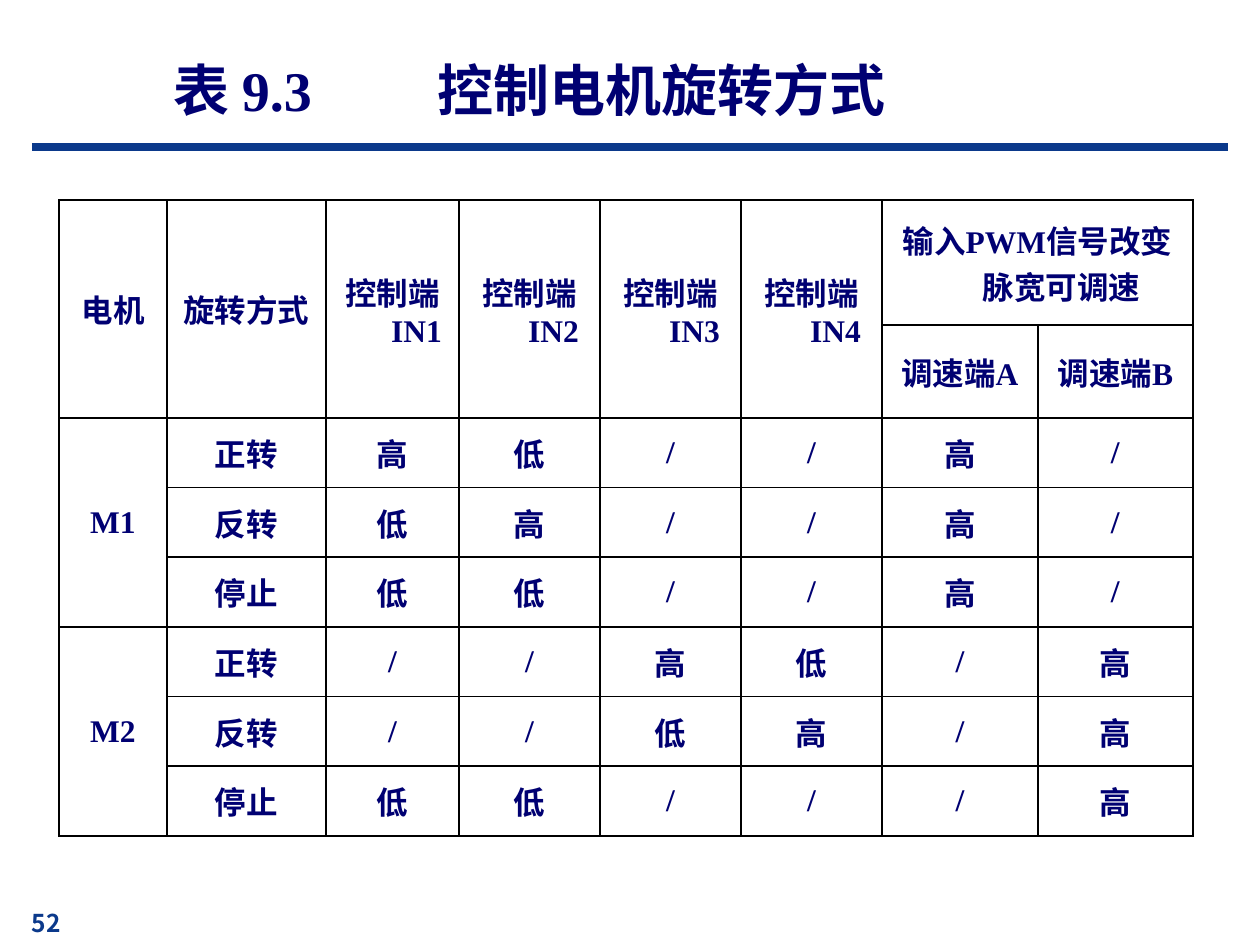
import pptx
import pptx.util
import pptx.dml.color
import pptx.enum.text
import pptx.enum.shapes
import pptx.oxml
import pptx.oxml.ns

NAVY, BLUE, BLACK, WHITE = "000072", "0B398B", "000000", "FFFFFF"
SERIF, SANS = "Times New Roman", "Noto Sans CJK JP"
ALIGN = pptx.enum.text.PP_ALIGN
ANCHOR = pptx.enum.text.MSO_ANCHOR

TITLE = "表 9.3\t控制电机旋转方式"
PAGE = "52"
HEAD = [
    ["电机", "旋转方式", "控制端IN1", "控制端IN2", "控制端IN3", "控制端IN4",
     "输入PWM信号改变脉宽可调速", ""],
    ["", "", "", "", "", "", "调速端A", "调速端B"],
]
BODY = [
    ["M1", "正转", "高", "低", "/", "/", "高", "/"],
    ["", "反转", "低", "高", "/", "/", "高", "/"],
    ["", "停止", "低", "低", "/", "/", "高", "/"],
    ["M2", "正转", "/", "/", "高", "低", "/", "高"],
    ["", "反转", "/", "/", "低", "高", "/", "高"],
    ["", "停止", "低", "低", "/", "/", "/", "高"],
]
ROWS = HEAD + BODY
SPANS = [(0, col, 1, col) for col in range(6)]
SPANS += [(0, 6, 0, 7), (2, 0, 4, 0), (5, 0, 7, 0)]
WIDTHS = [108, 159, 133, 141, 141, 141, 156, 155]
HEIGHTS = [125, 93] + [418 / len(BODY)] * len(BODY)
GRID = (59, 200, sum(WIDTHS), sum(HEIGHTS))

TEXT = {"size": pptx.util.Pt(18), "name": SERIF, "bold": True}
LARGE = {**TEXT, "size": pptx.util.Pt(32)}
SMALL = {**TEXT, "size": pptx.util.Pt(14), "name": SANS}


def px(num):
    return round(num * 914400 / 126)


def box(*nums):
    return [px(num) for num in nums]


def tint(hue):
    return pptx.dml.color.RGBColor.from_string(hue)


def apply(item, form):
    for key, val in form.items():
        setattr(item, key, val)


def node(tag, inner="", **attrs):
    text = " ".join(f'{key}="{val}"' for key, val in attrs.items())
    space = pptx.oxml.ns.nsdecls("a")
    return pptx.oxml.parse_xml(f"<a:{tag} {space} {text}>{inner}</a:{tag}>")


def write(frame, text, form, hue, align):
    para = frame.paragraphs[0]
    para.alignment = align
    run = para.add_run()
    run.text = text
    apply(run.font, form)
    run.font.color.rgb = tint(hue)
    run.font._element.append(node("ea", typeface=SANS))
    return para


def add_title(slide):
    title = slide.shapes.title
    apply(title, dict(zip(("left", "top", "width", "height"), box(42, 32, 986, 115))))
    frame = title.text_frame
    apply(frame, {"margin_left": px(131), "vertical_anchor": ANCHOR.MIDDLE,
                  "word_wrap": True})
    para = write(frame, TITLE, LARGE, NAVY, ALIGN.LEFT)
    stop = f'<a:tab pos="{px(264)}" algn="l"/>'
    para._p.get_or_add_pPr().append(node("tabLst", stop))


def add_rule(slide):
    kind = pptx.enum.shapes.MSO_CONNECTOR.STRAIGHT
    rule = slide.shapes.add_connector(kind, *box(32, 147, 1228, 147))
    rule.line.color.rgb = tint(BLUE)
    rule.line.width = pptx.util.Pt(4.5)
    rule._element.spPr.append(node("effectLst"))


def add_page(slide):
    frame = slide.shapes.add_textbox(*box(0, 891, 73, 53)).text_frame
    apply(frame, {"word_wrap": True, "vertical_anchor": ANCHOR.BOTTOM})
    write(frame, PAGE, SMALL, BLUE, ALIGN.RIGHT)


def style(cell):
    ink = f'<a:solidFill><a:srgbClr val="{BLACK}"/></a:solidFill>'
    for side in ("lnL", "lnR", "lnT", "lnB"):
        cell._tc.get_or_add_tcPr().append(node(side, ink, w=pptx.util.Pt(1)))
    cell.fill.solid()
    cell.fill.fore_color.rgb = tint(WHITE)
    cell.vertical_anchor = ANCHOR.MIDDLE


def add_grid(slide):
    table = slide.shapes.add_table(len(ROWS), len(WIDTHS), *box(*GRID)).table
    apply(table, {"first_row": False, "horz_banding": False})
    for col, width in zip(table.columns, WIDTHS):
        col.width = px(width)
    for row, height in zip(table.rows, HEIGHTS):
        row.height = px(height)
    for top, left, low, right in SPANS:
        table.cell(top, left).merge(table.cell(low, right))
    for row, texts in enumerate(ROWS):
        for col, text in enumerate(texts):
            cell = table.cell(row, col)
            style(cell)
            if text:
                para = write(cell.text_frame, text, TEXT, NAVY, ALIGN.CENTER)
                props = para._p.get_or_add_pPr()
                props.set("marL", str(px(48)))
                props.set("indent", str(px(-48)))


def main():
    deck = pptx.Presentation()
    apply(deck, {"slide_width": px(1260), "slide_height": px(945)})
    slide = deck.slides.add_slide(deck.slide_layouts[5])
    add_page(slide)
    add_rule(slide)
    add_title(slide)
    add_grid(slide)
    deck.save("out.pptx")


if __name__ == "__main__":
    main()
